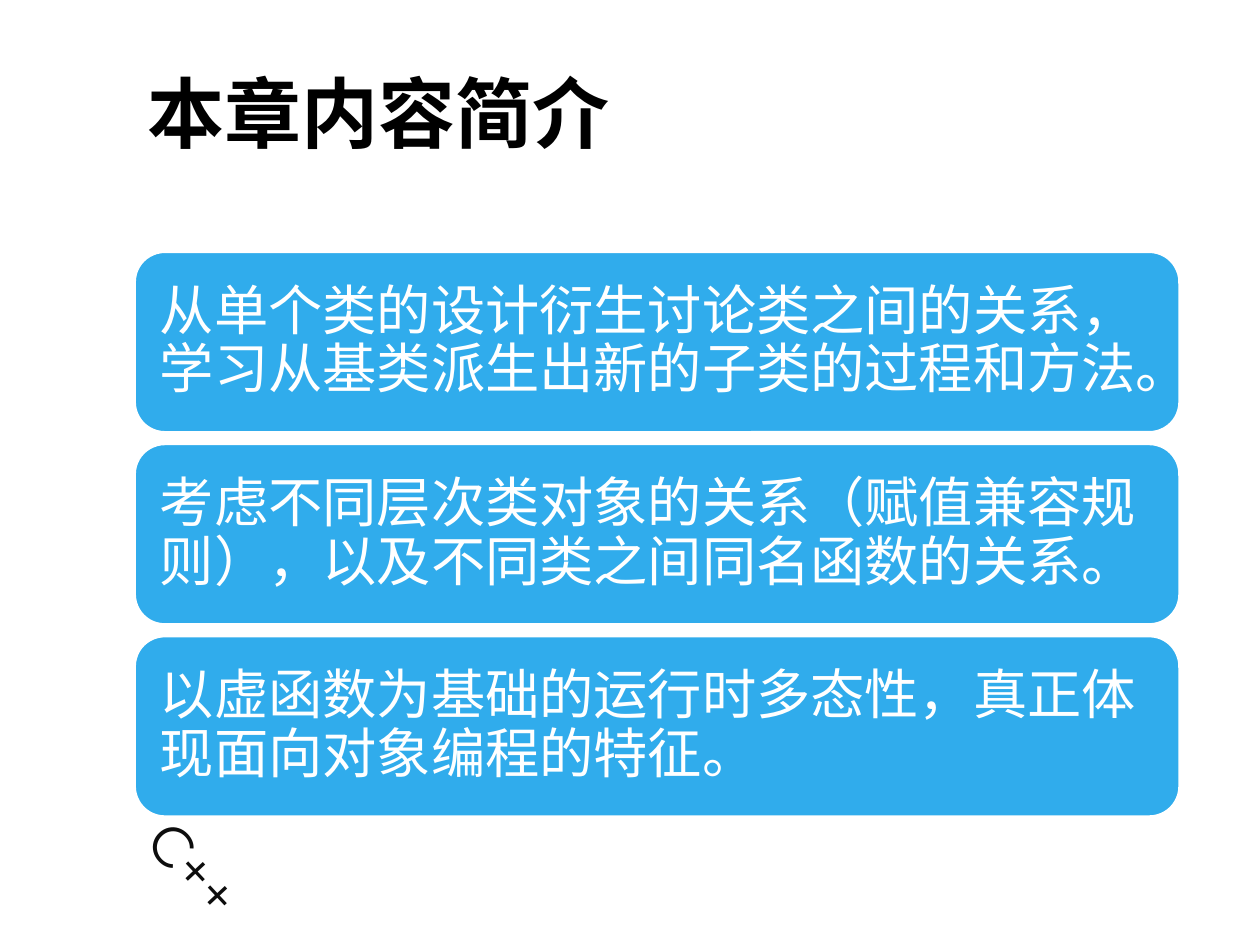
from dataclasses import dataclass

from pptx import Presentation
from pptx.dml.color import RGBColor
from pptx.enum.shapes import MSO_SHAPE
from pptx.enum.text import MSO_ANCHOR as Anchor, PP_ALIGN as Align
from pptx.util import Inches, Pt

BLACK = RGBColor(0x00, 0x00, 0x00)
INK = RGBColor(0x0D, 0x0D, 0x0D)
WHITE = RGBColor(0xFF, 0xFF, 0xFF)
BLUE = RGBColor(0x30, 0xAC, 0xEC)

LEFT = 1.07
CARD_TOP, CARD_STEP = 2.0, 1.525
CARD_WIDTH, CARD_HEIGHT = 8.29, 1.43
CARD_INSET = Inches(0.13)

TOPICS = (
    "从单个类的设计衍生讨论类之间的关系，学习从基类派生出新的子类的过程和方法。",
    "考虑不同层次类对象的关系（赋值兼容规则），以及不同类之间同名函数的关系。",
    "以虚函数为基础的运行时多态性，真正体现面向对象编程的特征。",
)


@dataclass(frozen=True)
class TextStyle:
    font: str
    size: int
    color: RGBColor
    bold: bool = False


TITLE = TextStyle("Arial", 44, BLACK, bold=True)
CARD = TextStyle("Arial", 31, WHITE)
BADGE = TextStyle("Montserrat", 32, INK)


def write(frame, text: str, style: TextStyle, anchor: Anchor):
    """Fill a text frame with one left-aligned paragraph and return it."""
    frame.word_wrap = True
    frame.vertical_anchor = anchor
    paragraph = frame.paragraphs[0]
    paragraph.text = text
    paragraph.alignment = Align.LEFT
    font = paragraph.runs[0].font
    font.name, font.size, font.bold = style.font, Pt(style.size), style.bold
    font.color.rgb = style.color
    return paragraph


def add_topic_card(slide, top: float, text: str) -> None:
    card = slide.shapes.add_shape(
        MSO_SHAPE.ROUNDED_RECTANGLE,
        Inches(LEFT), Inches(top), Inches(CARD_WIDTH), Inches(CARD_HEIGHT),
    )
    card.shadow.inherit = False
    card.fill.solid()
    card.fill.fore_color.rgb = BLUE
    card.line.color.rgb = WHITE
    card.line.width = Pt(1.25)

    frame = card.text_frame
    frame.margin_left = frame.margin_right = CARD_INSET
    frame.margin_top = frame.margin_bottom = CARD_INSET
    paragraph = write(frame, text, CARD, Anchor.MIDDLE)
    paragraph.line_spacing = 0.9
    paragraph.space_after = Pt(11)


def main() -> None:
    deck = Presentation()
    deck.slide_width, deck.slide_height = Inches(10), Inches(7.5)
    slide = deck.slides.add_slide(deck.slide_layouts[6])

    # Tilted language badge
    badge = slide.shapes.add_textbox(
        Inches(0.94), Inches(6.78), Inches(1.61), Inches(0.64)
    )
    badge.rotation = 46.9
    write(badge.text_frame, "C++", BADGE, Anchor.TOP)

    # Chapter heading
    heading = slide.shapes.add_textbox(
        Inches(LEFT), Inches(0.23), Inches(8.43), Inches(1.32)
    )
    write(heading.text_frame, "本章内容简介", TITLE, Anchor.MIDDLE)

    # Stacked topic cards
    for index, topic in enumerate(TOPICS):
        add_topic_card(slide, CARD_TOP + index * CARD_STEP, topic)

    deck.save("out.pptx")


if __name__ == "__main__":
    main()
